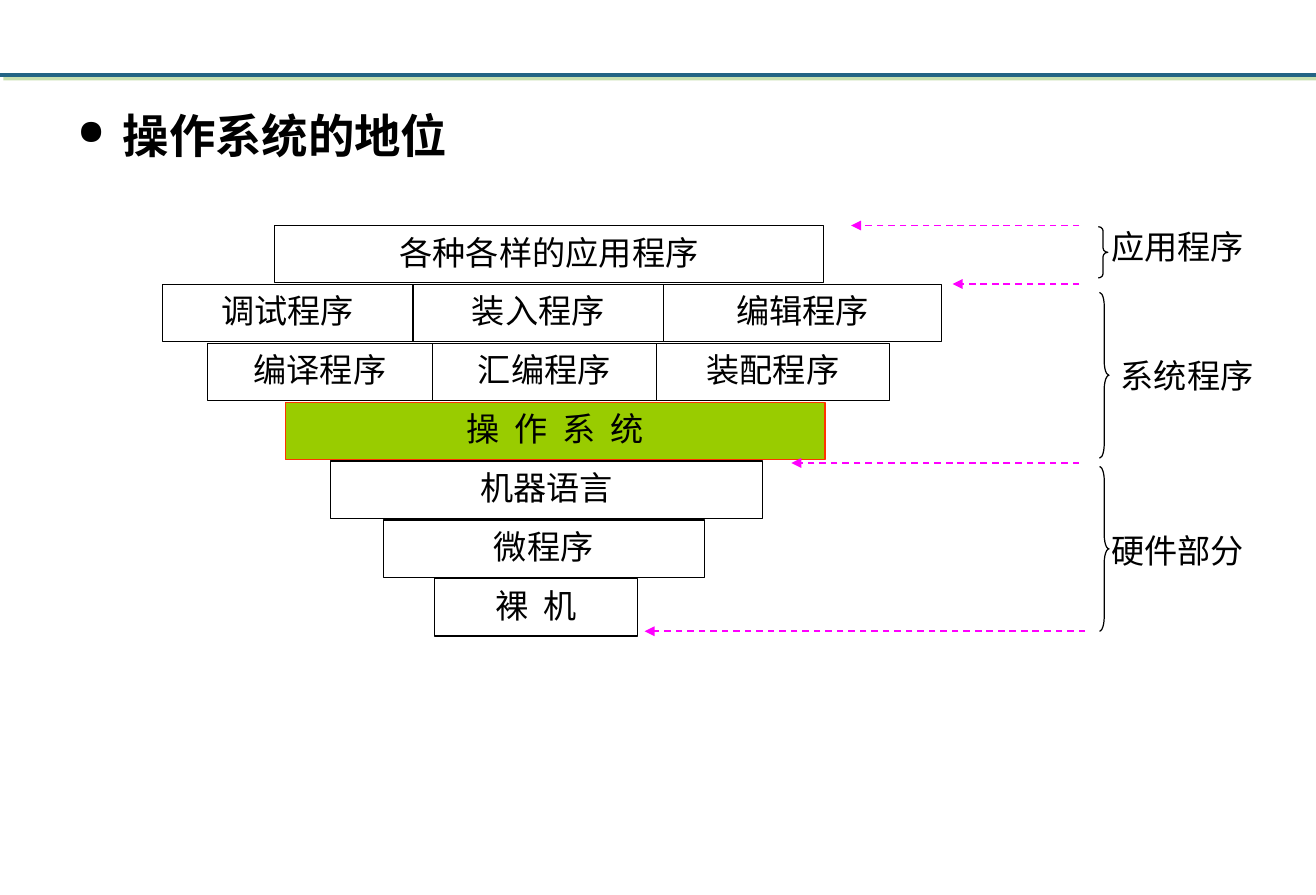
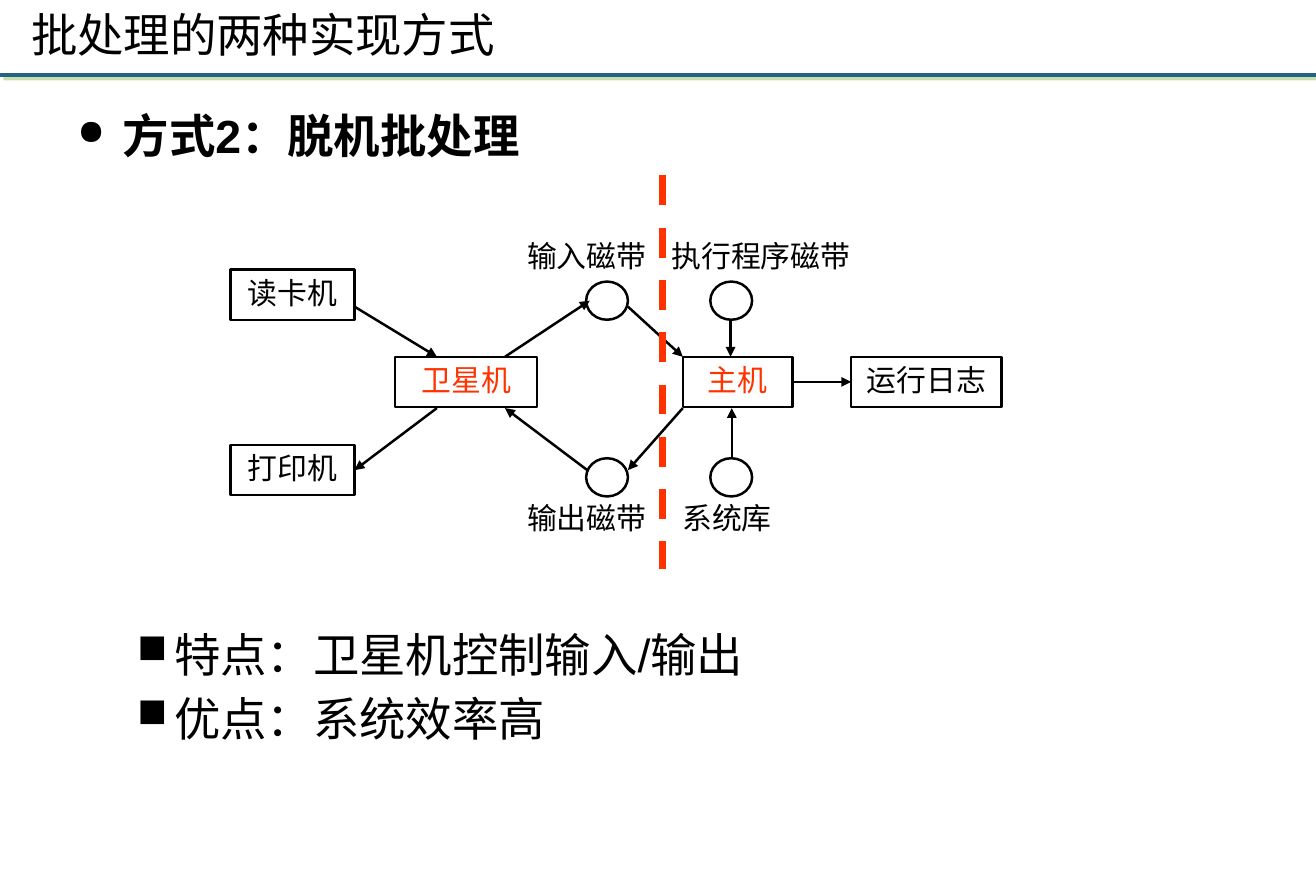
from lxml import etree
from pptx import Presentation
from pptx.dml.color import RGBColor
from pptx.enum.dml import MSO_LINE
from pptx.enum.shapes import MSO_CONNECTOR, MSO_SHAPE
from pptx.enum.text import MSO_ANCHOR, PP_ALIGN
from pptx.oxml.ns import qn
from pptx.util import Cm, Inches, Pt

RECT, OVAL, BRACE = MSO_SHAPE.RECTANGLE, MSO_SHAPE.OVAL, MSO_SHAPE.RIGHT_BRACE
STRAIGHT, DASH = MSO_CONNECTOR.STRAIGHT, MSO_LINE.DASH
LEFT, CENTER, MIDDLE = PP_ALIGN.LEFT, PP_ALIGN.CENTER, MSO_ANCHOR.MIDDLE
TITLE_ONLY, BLANK = 5, 6

COLORS = {
    "black": "000000",
    "white": "FFFFFF",
    "rule": "236485",
    "rule_shadow": "90C060",
    "green": "99CC00",
    "red": "FF3300",
    "magenta": "FF00FF",
}
SANS, SERIF, CJK = "Arial", "Times New Roman", "Noto Sans CJK SC"


def rgb(name):
    return RGBColor.from_string(COLORS[name])


# Text
def write(p, text, size, font=SERIF, color="black", bold=False, spacing=0):
    r = p.add_run()
    r.text = text
    r.font.name, r.font.size, r.font.bold = font, Pt(size), bold
    r.font.color.rgb = rgb(color)
    rPr = r._r.get_or_add_rPr()
    etree.SubElement(rPr, qn("a:ea")).set("typeface", CJK)
    if spacing:
        rPr.set("spc", str(int(spacing * 100)))


def prepare(shape, side=0.0, bottom=0.0, wrap=True):
    tf = shape.text_frame
    tf.word_wrap = wrap
    tf.vertical_anchor = MIDDLE
    tf.margin_left = tf.margin_right = Inches(side)
    tf.margin_top, tf.margin_bottom = 0, Inches(bottom)
    return tf


def add_label(s, x, y, w, h, text, size, align=CENTER):
    sp = s.shapes.add_textbox(Inches(x), Inches(y), Inches(w), Inches(h))
    tf = prepare(sp, side=0.1, bottom=0.02)
    p = tf.paragraphs[0]
    p.alignment = align
    write(p, text, size)


def add_bullets(s, y, h, lines, char, percent, indent, hang, bold=False):
    sp = s.shapes.add_textbox(Inches(0.55), Inches(y), Inches(9.92), Inches(h))
    tf = prepare(sp, side=0.1)
    for i, text in enumerate(lines):
        p = tf.add_paragraph() if i else tf.paragraphs[0]
        p.line_spacing = Pt(39)
        pPr = p._p.get_or_add_pPr()
        pPr.set("marL", str(Inches(indent)))
        pPr.set("indent", str(-Inches(hang)))
        etree.SubElement(pPr, qn("a:buSzPct")).set("val", str(percent * 1000))
        etree.SubElement(pPr, qn("a:buChar")).set("char", char)
        write(p, text, 28, SANS, bold=bold)


def add_heading(s, text):
    add_bullets(s, 0.82, 0.54, [text], "●", 75, 0.38, 0.38, bold=True)


def set_title(s, text):
    title = s.shapes.title
    title.left, title.top = Inches(0.16), 0
    title.width, title.height = Inches(5.75), Inches(0.57)
    p = prepare(title, side=0.1).paragraphs[0]
    p.alignment = LEFT
    write(p, text, 28, SANS)


# Shapes and lines
def add_figure(s, kind, x, y, w, h, fill=None, line="black", weight=0.75):
    sp = s.shapes.add_shape(kind, Inches(x), Inches(y), Inches(w), Inches(h))
    sp.shadow.inherit = False
    if fill:
        sp.fill.solid()
        sp.fill.fore_color.rgb = rgb(fill)
    else:
        sp.fill.background()
    sp.line.color.rgb = rgb(line)
    sp.line.width = Pt(weight)
    return sp


def add_box(s, x, y, w, h, text, size, color="black", spacing=0, **style):
    sp = add_figure(s, RECT, x, y, w, h, **style)
    p = prepare(sp, bottom=0.04, wrap=False).paragraphs[0]
    p.alignment = CENTER
    write(p, text, size, color=color, spacing=spacing)
    return sp


def add_line(s, x1, y1, x2, y2, color="black", weight=1.5, dash=None, arrow=True):
    c = s.shapes.add_connector(STRAIGHT, Inches(x1), Inches(y1), Inches(x2), Inches(y2))
    c.line.color.rgb = rgb(color)
    c.line.width = Pt(weight)
    if dash:
        c.line.dash_style = dash
    if arrow:
        etree.SubElement(c.line._get_or_add_ln(), qn("a:tailEnd")).set("type", "triangle")
    etree.SubElement(c._element.spPr, qn("a:effectLst"))
    return c


def add_master_rule(prs, s):
    """Draw the shadowed header rule and move it to the slide master."""
    c = add_line(s, 0, 0.63, 11.02, 0.63, "rule", 2.25, arrow=False)
    effects = c._element.spPr.find(qn("a:effectLst"))
    shadow = etree.SubElement(effects, qn("a:outerShdw"), dist=str(Pt(2.8)),
                              dir=str(45 * 60000), algn="ctr", rotWithShape="0")
    shade = etree.SubElement(shadow, qn("a:srgbClr"), val=COLORS["rule_shadow"])
    etree.SubElement(shade, qn("a:alpha"), val="50000")
    c._element.find(".//" + qn("p:cNvPr")).set("id", "20")
    prs.slide_master.shapes.element.append(c._element)


# Slide 1: layers of a computer system
def build_layers(s):
    add_heading(s, "操作系统的地位")
    top, bottom, height = 1.89, 4.85, 0.48
    green = {"fill": "green", "line": "red", "spacing": 2.25}
    layers = [
        (2.3, [("各种各样的应用程序", 4.6)], {}),
        (1.36, [("调试程序", 2.1), ("装入程序", 2.1), ("编辑程序", 2.33)], {}),
        (1.74, [("编译程序", 1.88), ("汇编程序", 1.88), ("装配程序", 1.95)], {}),
        (2.39, [("操 作 系 统", 4.52)], green),
        (2.77, [("机器语言", 3.62)], {}),
        (3.21, [("微程序", 2.69)], {}),
        (3.64, [("裸 机", 1.7)], {"spacing": 2.25}),
    ]
    pitch = (bottom - top) / (len(layers) - 1)
    for i, (x, cells, style) in enumerate(layers):
        for text, width in cells:
            add_box(s, x, top + i * pitch, width, height, text, 20, **style)
            x += width

    # Boundaries between the groups
    for x1, x2, y in [(9.04, 7.13, 1.89), (9.04, 7.98, 2.38),
                      (9.04, 6.63, 3.88), (9.09, 5.4, 5.29)]:
        add_line(s, x1, y, x2, y, "magenta", 1, DASH)

    # Braces with group names
    groups = [
        ("应用程序", 9.21, 1.86, 9.2, 1.9, 0.43, 0.45),
        ("系统程序", 9.29, 2.94, 9.21, 2.45, 1.39, 1.45),
        ("硬件部分", 9.21, 4.41, 9.21, 3.91, 1.38, 1.47),
    ]
    for text, x, y, brace_x, brace_y, brace_h, curve in groups:
        brace = add_figure(s, BRACE, brace_x, brace_y, 0.08, brace_h)
        brace.adjustments[0] = curve
        add_label(s, x, y, 1.42, 0.43, text, 20, LEFT)


# Slide 2: off-line batch processing
def build_batch(s):
    set_title(s, "批处理的两种实现方式")
    add_heading(s, "方式2：脱机批处理")

    # Machines
    machines = [
        ("读卡机", 1.93, 2.26, 1.04, "black"),
        ("打印机", 1.93, 3.73, 1.04, "black"),
        ("卫星机", 3.31, 2.99, 1.19, "red"),
        ("主机", 5.72, 2.99, 0.92, "red"),
        ("运行日志", 7.13, 2.99, 1.26, "black"),
    ]
    boxes = {text: add_box(s, x, y, w, 0.42, text, 18, color, fill="white", weight=1.5)
             for text, x, y, w, color in machines}

    # Tapes
    for x in (4.91, 5.95):
        for y in (2.36, 3.84):
            add_figure(s, OVAL, x, y, 0.35, 0.32, fill="white", weight=1.5)
    for text, x, y, w in [("输入磁带", 4.23, 1.94, 1.37), ("执行程序磁带", 5.36, 1.94, 2.03),
                          ("输出磁带", 4.23, 4.14, 1.37), ("系统库", 5.53, 4.14, 1.12)]:
        add_label(s, x, y, w, 0.42, text, 18)

    # Data flow
    for ends in [(2.97, 2.57, 3.66, 2.99), (4.23, 2.99, 4.94, 2.52),
                 (4.92, 3.94, 4.23, 3.42), (5.26, 2.57, 5.72, 2.99),
                 (5.72, 3.42, 5.26, 3.94), (6.12, 2.68, 6.12, 2.99),
                 (6.13, 3.84, 6.13, 3.42)]:
        add_line(s, *ends)
    to_printer = add_line(s, 3.66, 3.42, 2.97, 3.94)
    to_printer.end_connect(boxes["打印机"], 3)
    to_log = add_line(s, 6.64, 3.2, 7.13, 3.2)
    to_log.begin_connect(boxes["主机"], 3)
    to_log.end_connect(boxes["运行日志"], 1)

    # Divider between off-line and on-line parts
    add_line(s, 5.55, 1.47, 5.55, 4.77, "red", 4.5, DASH, arrow=False)

    add_bullets(s, 5.16, 1.1, ["特点：卫星机控制输入/输出", "优点：系统效率高"],
                "■", 88, 0.81, 0.31)


def main():
    prs = Presentation()
    prs.slide_width = Cm(28)
    prs.slide_height = Inches(7.5)
    layers = prs.slides.add_slide(prs.slide_layouts[BLANK])
    add_master_rule(prs, layers)
    build_layers(layers)
    build_batch(prs.slides.add_slide(prs.slide_layouts[TITLE_ONLY]))
    prs.save("out.pptx")


if __name__ == "__main__":
    main()
